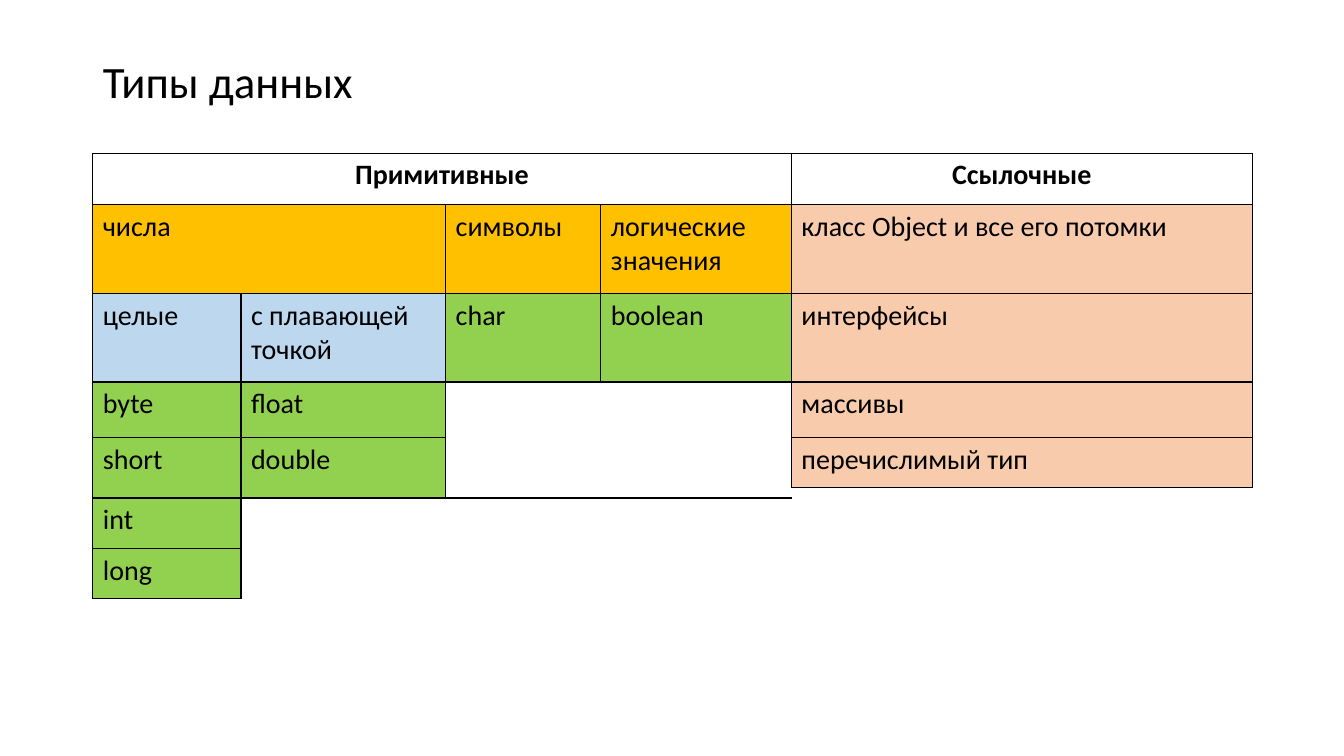
from lxml.etree import SubElement
from pptx import Presentation
from pptx.dml.color import RGBColor
from pptx.enum.text import MSO_ANCHOR, PP_ALIGN
from pptx.oxml.ns import qn
from pptx.util import Inches, Pt

WHITE, AMBER, BLUE, GREEN, PEACH = "FFFFFF", "FFC000", "BDD7EE", "92D050", "F8CBAD"
BLACK = "000000"
COLUMN_WIDTHS = [1.47, 2.03, 1.54, 1.89, 4.57]
ROW_HEIGHTS = [0.51, 0.88, 0.88, 0.55, 0.5, 0.1, 0.5, 0.5]

# row, column, text, fill, rows spanned, columns spanned
TYPE_CELLS = [
    (0, 0, "Примитивные", WHITE, 1, 4),
    (0, 4, "Ссылочные", WHITE, 1, 1),
    (1, 0, "числа", AMBER, 1, 2),
    (1, 2, "символы", AMBER, 1, 1),
    (1, 3, "логические значения", AMBER, 1, 1),
    (1, 4, "класс Object и все его потомки", PEACH, 1, 1),
    (2, 0, "целые", BLUE, 1, 1),
    (2, 1, "с плавающей точкой", BLUE, 1, 1),
    (2, 2, "char", GREEN, 1, 1),
    (2, 3, "boolean", GREEN, 1, 1),
    (2, 4, "интерфейсы", PEACH, 1, 1),
    (3, 0, "byte", GREEN, 1, 1),
    (3, 1, "float", GREEN, 1, 1),
    (3, 4, "массивы", PEACH, 1, 1),
    (4, 0, "short", GREEN, 2, 1),
    (4, 1, "double", GREEN, 2, 1),
    (4, 4, "перечислимый тип", PEACH, 1, 1),
    (6, 0, "int", GREEN, 1, 1),
    (7, 0, "long", GREEN, 1, 1),
]
# row, column, rows spanned, columns spanned, sides with a line
BLANK_CELLS = [
    (3, 2, 1, 2, "LTR"),
    (4, 2, 2, 2, "LR"),
    (5, 4, 3, 1, "T"),
    (6, 1, 2, 3, "LT"),
]


def color(hex_string):
    """Turn a hex string into a colour."""
    return RGBColor.from_string(hex_string)


def style_font(paragraph, size, bold=False):
    """Set the slide's typeface on a paragraph."""
    font = paragraph.font
    font.name, font.size, font.bold = "Calibri", Pt(size), bold
    font.color.rgb = color(BLACK)


def set_borders(cell, sides):
    """Draw the given sides of a cell and hide the others."""
    properties = cell._tc.get_or_add_tcPr()
    for position, side in enumerate("LRTB"):
        line = properties.makeelement(qn(f"a:ln{side}"), {"w": str(Pt(1))})
        properties.insert(position, line)
        if side in sides:
            fill = SubElement(line, qn("a:solidFill"))
            SubElement(fill, qn("a:srgbClr"), val=BLACK)
        else:
            SubElement(line, qn("a:noFill"))


def format_area(table, row, column, fill, rows, columns, sides="LRTB"):
    """Merge, fill and border an area, and return its first cell."""
    first = table.cell(row, column)
    if rows * columns > 1:
        first.merge(table.cell(row + rows - 1, column + columns - 1))
    for r in range(row, row + rows):
        for c in range(column, column + columns):
            cell = table.cell(r, c)
            cell.fill.solid()
            cell.fill.fore_color.rgb = color(fill)
            set_borders(cell, sides)
    return first


def add_title(slide, text):
    """Place and format the slide title."""
    title = slide.shapes.title
    title.left, title.top = Inches(0.92), Inches(0.4)
    title.width, title.height = Inches(11.5), Inches(0.87)
    title.text_frame.text = text
    title.text_frame.vertical_anchor = MSO_ANCHOR.MIDDLE
    heading = title.text_frame.paragraphs[0]
    heading.alignment = PP_ALIGN.LEFT
    heading.line_spacing = 0.9
    style_font(heading, 32)


def add_types_table(slide):
    """Build the table of data types."""
    table = slide.shapes.add_table(
        len(ROW_HEIGHTS), len(COLUMN_WIDTHS),
        Inches(0.92), Inches(1.52), Inches(11.5), Inches(4.43)).table
    table.first_row = table.horz_banding = False
    for column, width in zip(table.columns, COLUMN_WIDTHS):
        column.width = Inches(width)
    for row, height in zip(table.rows, ROW_HEIGHTS):
        row.height = Inches(height)
    for row, column, text, fill, rows, columns in TYPE_CELLS:
        cell = format_area(table, row, column, fill, rows, columns)
        cell.text = text
        label = cell.text_frame.paragraphs[0]
        label.alignment = PP_ALIGN.LEFT if row else PP_ALIGN.CENTER
        style_font(label, 20, bold=row == 0)
    for row, column, rows, columns, sides in BLANK_CELLS:
        format_area(table, row, column, WHITE, rows, columns, sides)


def main():
    """Create the data types slide."""
    presentation = Presentation()
    presentation.slide_width = Inches(13.33)
    presentation.slide_height = Inches(7.5)
    slide = presentation.slides.add_slide(presentation.slide_layouts[5])
    add_title(slide, "Типы данных")
    add_types_table(slide)
    presentation.save("out.pptx")


if __name__ == "__main__":
    main()
